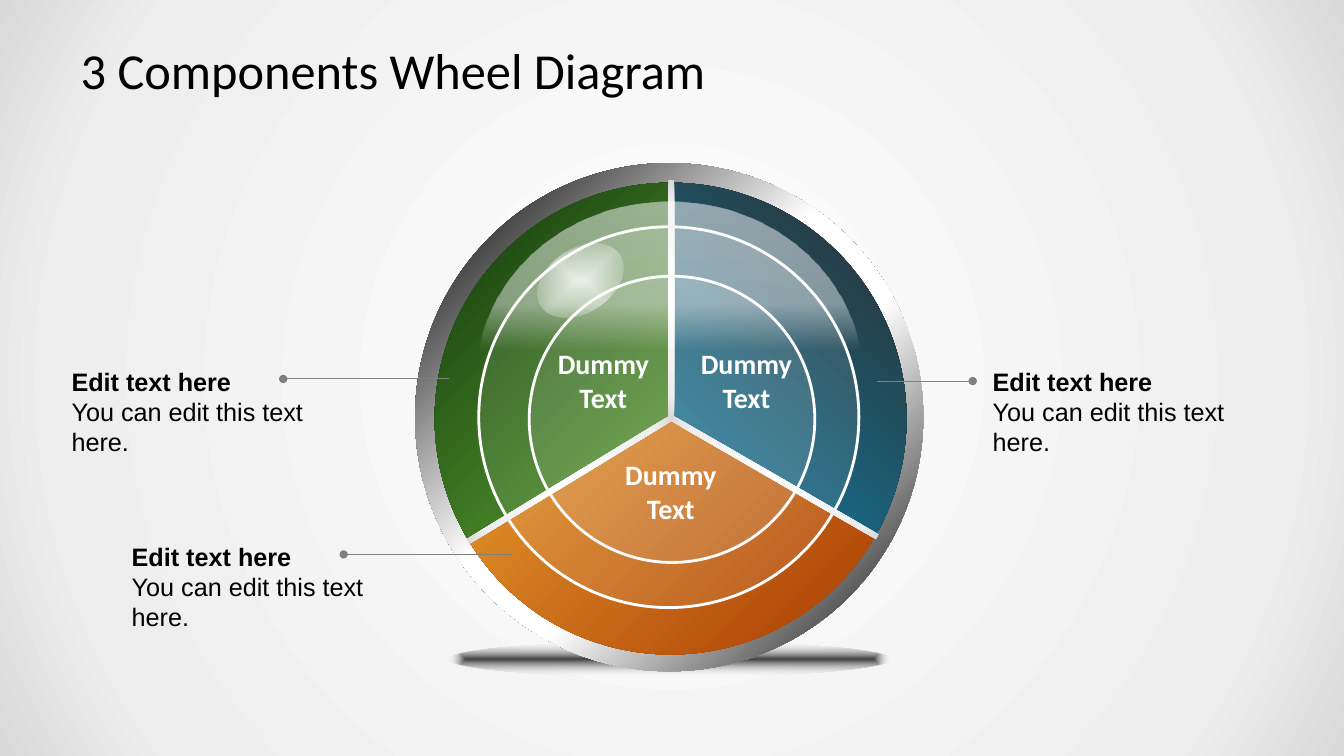
from math import cos, radians, sin

from lxml import etree
from pptx import Presentation
from pptx.dml.color import RGBColor
from pptx.enum.shapes import MSO_CONNECTOR, MSO_SHAPE
from pptx.enum.text import MSO_ANCHOR, MSO_AUTO_SIZE, PP_ALIGN
from pptx.oxml.ns import qn
from pptx.util import Pt

ELLIPSE, PIE, RECTANGLE = MSO_SHAPE.OVAL, MSO_SHAPE.PIE, MSO_SHAPE.RECTANGLE
STRAIGHT = MSO_CONNECTOR.STRAIGHT
LEFT, CENTER = PP_ALIGN.LEFT, PP_ALIGN.CENTER
TOP, MIDDLE = MSO_ANCHOR.TOP, MSO_ANCHOR.MIDDLE
NO_FIT, GROW = MSO_AUTO_SIZE.NONE, MSO_AUTO_SIZE.SHAPE_TO_FIT_TEXT

BLACK = RGBColor(0x00, 0x00, 0x00)
WHITE = RGBColor(0xFF, 0xFF, 0xFF)
PALE = RGBColor(0xEE, 0xEE, 0xEE)
SILVER = RGBColor(0xD9, 0xD9, 0xD9)
GRAY = RGBColor(0x80, 0x80, 0x80)
SHADE = RGBColor(0x40, 0x40, 0x40)
STEEL = RGBColor(0x26, 0x26, 0x26)
MIST = RGBColor(0xF2, 0xF2, 0xF2)
LIME, FOREST = RGBColor(0x85, 0xDB, 0x45), RGBColor(0x12, 0x39, 0x0D)
AMBER, RUST = RGBColor(0xFF, 0xBF, 0x3F), RGBColor(0xA7, 0x38, 0x01)
SKY, CHARCOAL = RGBColor(0x00, 0xB0, 0xF0), RGBColor(0x2C, 0x2C, 0x2C)

MIDPOINT = (50, 50, 50, 50)
BACKDROP = [(0, WHITE, 100), (81, PALE, 100), (100, SILVER, 100)]
HUB_X, HUB_Y = 479.5, 298.5
SPOKE_LENGTH, SPOKE_WIDTH = 170, 4
WEDGE_BOX = (310.5, 130.5, 337, 337)
WEDGES = [
    (148.46, 270.5, LIME, FOREST, (100, 100, 0, 0)),
    (30.2, 148.36, AMBER, RUST, (0, 0, 100, 100)),
    (269.77, 29.73, SKY, CHARCOAL, (0, 100, 100, 0)),
]
RINGS = [(378, 197.3, 204, 204.5), (342, 162, 271.5, 272)]
SPOKE_ANGLES = [120, 238.7, 0]
LABELS = [(378, 323.3, 202.3), (486, 244, 94.3), (383.8, 244, 94.3)]
CALLOUTS = [
    (87, 383, 366, 245.5, 396),
    (702, 257.8, 626.4, 694.8, 272.2),
    (44, 257.8, 321, 202.3, 270.7),
]


def apply_format(target, values):
    for name, value in values.items():
        setattr(target, name, value)


def set_alpha(color, percent):
    etree.SubElement(color, qn("a:alpha"), val=str(percent * 1000))


def paint_gradient(fill, owner, stops, angle=None, shade="circle", focus=MIDPOINT):
    fill.gradient()
    gradient = next(owner.iter(qn("a:gradFill")))
    for child in list(gradient):
        gradient.remove(child)
    stop_list = etree.SubElement(gradient, qn("a:gsLst"))
    for position, color, opacity in stops:
        stop = etree.SubElement(stop_list, qn("a:gs"), pos=str(position * 1000))
        tint = etree.SubElement(stop, qn("a:srgbClr"), val=str(color))
        if opacity < 100:
            set_alpha(tint, opacity)
    if angle is not None:
        etree.SubElement(gradient, qn("a:lin"), ang=str(angle * 60000), scaled="0")
        return
    route = etree.SubElement(gradient, qn("a:path"), path=shade)
    sides = {side: str(share * 1000) for side, share in zip("ltrb", focus)}
    etree.SubElement(route, qn("a:fillToRect"), **sides)


def add_figure(shapes, kind, box, rotation=0):
    figure = shapes.add_shape(kind, *map(Pt, box))
    figure.shadow.inherit = False
    figure.line.fill.background()
    figure.rotation = rotation
    return figure


def add_shaded(shapes, kind, box, stops, rotation=0, **gradient):
    figure = add_figure(shapes, kind, box, rotation)
    paint_gradient(figure.fill, figure.element, stops, **gradient)
    return figure


def add_wedge(shapes, start, end, inner, outer, focus):
    stops = [(0, inner, 100), (100, outer, 100)]
    wedge = add_shaded(shapes, PIE, WEDGE_BOX, stops, focus=focus)
    wedge.adjustments[0] = start * 0.6
    wedge.adjustments[1] = end * 0.6


def add_ring(shapes, box):
    ring = add_figure(shapes, ELLIPSE, box)
    ring.fill.solid()
    ring.fill.fore_color.rgb = MIST
    set_alpha(next(ring.element.iter(qn("a:srgbClr"))), 10)
    ring.line.color.rgb = WHITE
    ring.line.width = Pt(2)


def add_spoke(shapes, angle):
    reach = SPOKE_LENGTH / 2
    x = HUB_X + reach * sin(radians(angle))
    y = HUB_Y - reach * cos(radians(angle))
    box = (x - SPOKE_WIDTH / 2, y - reach, SPOKE_WIDTH, SPOKE_LENGTH)
    add_shaded(shapes, RECTANGLE, box, BACKDROP, angle)


def add_text(shapes, box, lines, align, anchor, font):
    frame = shapes.add_textbox(*map(Pt, box)).text_frame
    apply_format(frame, {"word_wrap": True, "auto_size": GROW, "vertical_anchor": anchor})
    frame.text = "\n".join(text for text, _ in lines)
    for paragraph, (_, bold) in zip(frame.paragraphs, lines):
        paragraph.alignment = align
        run_font = paragraph.runs[0].font
        apply_format(run_font, {"name": font["name"], "size": font["size"], "bold": bold})
        run_font.color.rgb = font["color"]


def add_label(shapes, left, top, width):
    add_text(shapes, (left, top, width, 55.5), [("Dummy", True), ("Text", True)],
             CENTER, MIDDLE, {"name": "Calibri", "size": Pt(20), "color": WHITE})


def add_callout(slide, left, top, wheel_x, dot_x, y):
    shapes = slide.shapes.add_group_shape().shapes
    lines = [("Edit text here", True), ("You can edit this text here.", False)]
    add_text(shapes, (left, top, 198, 72.7), lines, LEFT, TOP,
             {"name": "Arial", "size": Pt(18), "color": BLACK})
    leader = shapes.add_connector(STRAIGHT, Pt(wheel_x), Pt(y), Pt(dot_x), Pt(y))
    leader.line.color.rgb = GRAY
    leader.line.width = Pt(0.75)
    etree.SubElement(leader.line._get_or_add_ln(), qn("a:tailEnd"), type="oval")
    etree.SubElement(leader.element.spPr, qn("a:effectLst"))


def set_title(slide):
    title = slide.shapes.title
    apply_format(title, {"left": Pt(48), "top": Pt(21.6), "width": Pt(864), "height": Pt(56)})
    frame = title.text_frame
    frame.text = "3 Components Wheel Diagram"
    apply_format(frame, {
        "word_wrap": True, "auto_size": NO_FIT, "vertical_anchor": MIDDLE,
        "margin_left": Pt(9.6), "margin_right": Pt(9.6),
        "margin_top": Pt(4.8), "margin_bottom": Pt(4.8),
    })
    heading = frame.paragraphs[0]
    heading.alignment = LEFT
    apply_format(heading.runs[0].font, {"name": "Calibri", "size": Pt(36)})
    heading.runs[0].font.color.rgb = BLACK


def add_wheel(slide):
    shapes = slide.shapes.add_group_shape().shapes
    add_shaded(shapes, ELLIPSE, (320.5, 458.6, 315.5, 25),
               [(0, SHADE, 100), (100, WHITE, 0)], shade="shape")
    add_shaded(shapes, ELLIPSE, (296.5, 116.5, 363, 363),
               [(9, STEEL, 100), (44, WHITE, 100), (60, WHITE, 100), (100, BLACK, 100)],
               angle=45)
    for wedge in WEDGES:
        add_wedge(shapes, *wedge)
    add_shaded(shapes, ELLIPSE, (391.7, 167, 45.4, 67),
               [(0, WHITE, 80), (100, WHITE, 0)], 57.1, shade="shape")
    for ring in RINGS:
        add_ring(shapes, ring)
    for angle in SPOKE_ANGLES:
        add_spoke(shapes, angle)
    add_shaded(shapes, ELLIPSE, (340.5, 144, 275.8, 252),
               [(0, WHITE, 51), (29, WHITE, 43), (42, WHITE, 0), (100, WHITE, 0)],
               angle=90)
    for label in LABELS:
        add_label(shapes, *label)


def main():
    deck = Presentation()
    deck.slide_width, deck.slide_height = Pt(960), Pt(540)
    slide = deck.slides.add_slide(deck.slide_layouts[5])
    paint_gradient(slide.background.fill, slide.element, BACKDROP)
    set_title(slide)
    add_wheel(slide)
    for callout in CALLOUTS:
        add_callout(slide, *callout)
    deck.save("out.pptx")


if __name__ == "__main__":
    main()
